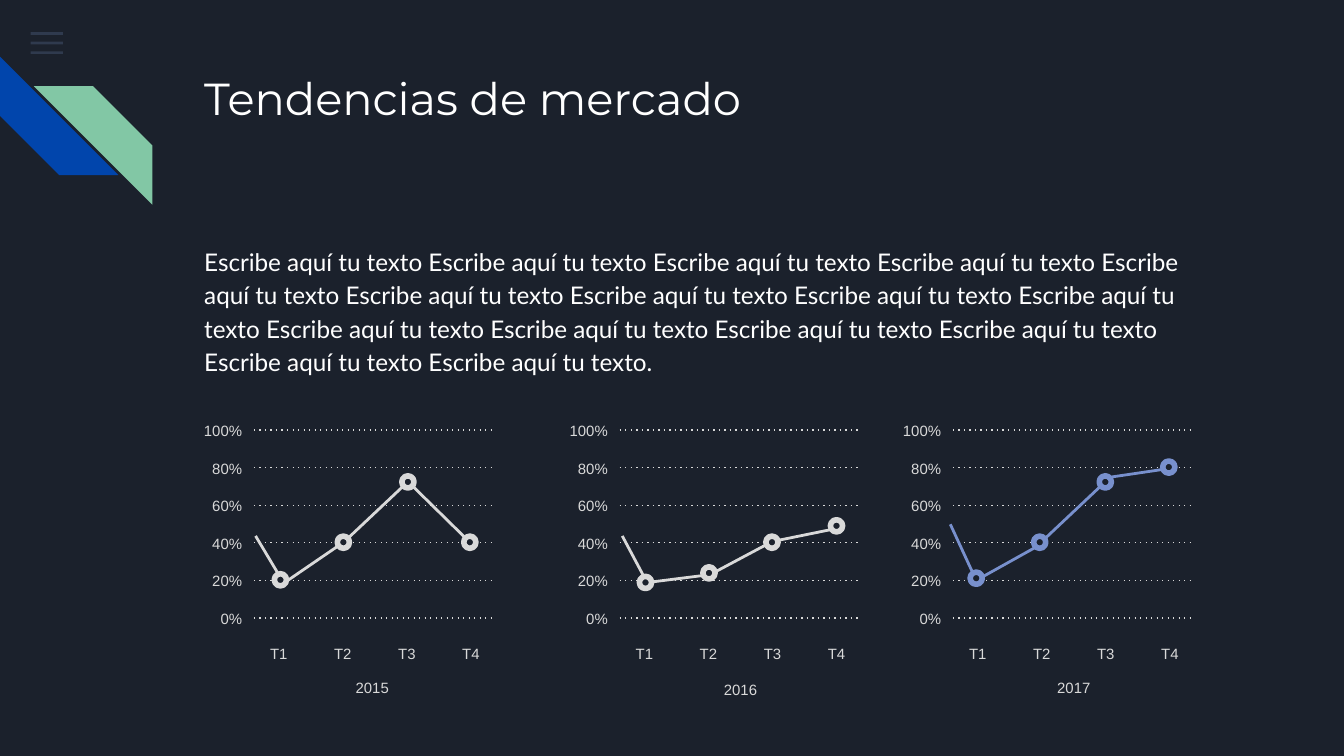
from dataclasses import dataclass

from lxml import etree
from pptx import Presentation
from pptx import util as u
from pptx.dml.color import RGBColor
from pptx.enum import shapes, text
from pptx.oxml.ns import qn

NAVY = RGBColor(0x1B, 0x21, 0x2C)
WHITE = RGBColor(0xFF, 0xFF, 0xFF)
GREY = RGBColor(0xD9, 0xD9, 0xD9)
PERIWINKLE = RGBColor(0x78, 0x90, 0xCD)
BLUE = RGBColor(0x01, 0x45, 0xAC)
GREEN = RGBColor(0x82, 0xC7, 0xA5)
SLATE = RGBColor(0x55, 0x68, 0x8B)

# Chart geometry, in cm
GRID_TOP, GRID_STEP, GRID_WIDTH = 8.13, 0.71, 4.57
LEVELS = ("100%", "80%", "60%", "40%", "20%", "0%")
QUARTERS = ("T1", "T2", "T3", "T4")
QUARTER_TOP, QUARTER_STEP, QUARTER_WIDTH = 11.93, 1.21, 0.94
LABEL_HEIGHT, MARKER = 0.53, 0.23


@dataclass
class TrendChart:
    """One year's trend; segments are (x1, y1, x2, y2), markers are centres."""
    year: str
    left: float
    label_width: float
    year_left: float
    year_top: float
    color: RGBColor
    segments: list[tuple[float, float, float, float]]
    markers: list[tuple[float, float]]


CHARTS = [
    TrendChart("2015", 4.8, 1.25, 6.12, 12.52, GREY,
               [(4.83, 10.13, 5.38, 11.05), (5.44, 10.97, 6.58, 10.19),
                (6.4, 10.34, 7.8, 9.02), (7.8, 9.19, 8.97, 10.34)],
               [(5.3, 10.96), (6.49, 10.25), (7.71, 9.11), (8.88, 10.25)]),
    TrendChart("2016", 11.71, 1.35, 13.08, 12.57, GREY,
               [(11.76, 10.13, 12.17, 10.9), (12.32, 11, 13.51, 10.85),
                (13.31, 10.92, 14.68, 10.19), (14.48, 10.26, 15.95, 9.96)],
               [(12.2, 11.01), (13.4, 10.83), (14.59, 10.25), (15.81, 9.94)]),
    TrendChart("2017", 18.01, 1.25, 19.38, 12.52, PERIWINKLE,
               [(17.96, 9.91, 18.44, 10.95), (18.36, 11.02, 19.58, 10.34),
                (19.74, 10.19, 20.98, 9.02), (20.98, 9.02, 22.2, 8.84)],
               [(18.45, 10.93), (19.65, 10.25), (20.89, 9.11), (22.09, 8.83)]),
]


def place(sp, left: float, top: float, width: float, height: float) -> None:
    sp.left, sp.top, sp.width, sp.height = map(u.Cm, (left, top, width, height))


def write(sp, content: str, *, size: float, font: str = "Arial",
          color: RGBColor = GREY, align=text.PP_ALIGN.LEFT,
          spacing: float = 1.0, after: float = 0) -> None:
    tf = sp.text_frame
    tf.word_wrap = True
    tf.auto_size = text.MSO_AUTO_SIZE.NONE
    tf.vertical_anchor = text.MSO_ANCHOR.TOP
    tf.margin_left = tf.margin_right = u.Cm(0.25)
    tf.margin_top = tf.margin_bottom = u.Cm(0.25)
    p = tf.paragraphs[0]
    p.alignment, p.line_spacing = align, spacing
    p.space_before, p.space_after = u.Pt(0), u.Pt(after)
    r = p.add_run()
    r.text = content
    r.font.size, r.font.name = u.Pt(size), font
    r.font.color.rgb = color


def add_label(parent, content: str, left: float, top: float, width: float,
              height: float = LABEL_HEIGHT, **fmt) -> None:
    sp = parent.add_textbox(*map(u.Cm, (left, top, width, height)))
    write(sp, content, size=8, **fmt)


def add_shape(parent, kind, left: float, top: float, width: float,
              height: float, fill: RGBColor):
    sp = parent.add_shape(kind, *map(u.Cm, (left, top, width, height)))
    sp.shadow.inherit = False
    sp.fill.solid()
    sp.fill.fore_color.rgb = fill
    sp.line.fill.background()
    return sp


def add_line(parent, x1: float, y1: float, x2: float, y2: float,
             color: RGBColor, width: float, dotted: bool = False) -> None:
    c = parent.add_connector(shapes.MSO_CONNECTOR.STRAIGHT,
                             *map(u.Cm, (x1, y1, x2, y2)))
    c.line.color.rgb = color
    c.line.width = u.Pt(width)
    sp_pr = c._element.spPr
    if dotted:
        c.line.dash_style = 3  # replaced below by the wider-spaced preset
        sp_pr.find(".//" + qn("a:prstDash")).set("val", "dot")
    etree.SubElement(sp_pr, qn("a:effectLst"))


def draw_chart(parent, chart: TrendChart) -> None:
    # Gridlines with their percentages
    for i, level in enumerate(LEVELS):
        y = GRID_TOP + i * GRID_STEP
        add_line(parent, chart.left, y, chart.left + GRID_WIDTH, y,
                 GREY, 0.75, dotted=True)
        add_label(parent, level, chart.left + 0.03 - chart.label_width,
                  y - 0.41, chart.label_width, align=text.PP_ALIGN.RIGHT)
    # Quarters and year
    for i, quarter in enumerate(QUARTERS):
        add_label(parent, quarter, chart.left + i * QUARTER_STEP, QUARTER_TOP,
                  QUARTER_WIDTH, align=text.PP_ALIGN.CENTER)
    add_label(parent, chart.year, chart.year_left, chart.year_top, 1.83, 0.89,
              align=text.PP_ALIGN.CENTER, spacing=1.15, after=16)
    # Trend line and ring markers
    for segment in chart.segments:
        add_line(parent, *segment, chart.color, 1.5)
    for x, y in chart.markers:
        ring = add_shape(parent, shapes.MSO_SHAPE.OVAL, x - MARKER / 2,
                         y - MARKER / 2, MARKER, MARKER, NAVY)
        ring.line.color.rgb = chart.color
        ring.line.width = u.Pt(3)


def draw_decoration(parent) -> None:
    # Translucent menu bars
    for i in range(3):
        bar = add_shape(parent, shapes.MSO_SHAPE.RECTANGLE,
                        0.58, 0.61 + i * 0.18, 0.61, 0.05, SLATE)
        clr = bar._element.spPr.find(".//" + qn("a:srgbClr"))
        etree.SubElement(clr, qn("a:alpha"), val="36000")
    # Diagonal stripes
    stripe = shapes.MSO_SHAPE.DIAGONAL_STRIPE
    blue = add_shape(parent, stripe, 0, 1.07, 2.24, 2.24, BLUE)
    blue.rotation = 270
    green = add_shape(parent, stripe, 0.64, 1.63, 2.24, 2.24, GREEN)
    green._element.spPr.find(qn("a:xfrm")).set("flipH", "1")


def main() -> None:
    prs = Presentation()
    prs.slide_width, prs.slide_height = u.Cm(25.4), u.Cm(14.29)
    s = prs.slides.add_slide(prs.slide_layouts[1])
    s.background.fill.solid()
    s.background.fill.fore_color.rgb = NAVY
    draw_decoration(s.shapes)

    # Title and body
    title, body = s.shapes.title, s.placeholders[1]
    place(title, 3.61, 1.09, 19.56, 2.54)
    write(title, "Tendencias de mercado", size=24, font="Montserrat",
          color=WHITE)
    place(body, 3.61, 4.34, 19.56, 3.07)
    p_pr = body.text_frame.paragraphs[0]._p.get_or_add_pPr()
    p_pr.set("marL", "0")
    p_pr.set("indent", "0")
    etree.SubElement(p_pr, qn("a:buNone"))
    write(body, " ".join(["Escribe aquí tu texto"] * 15) + ".", size=13,
          font="Lato", color=WHITE, spacing=1.15, after=16)

    # Yearly trends
    for chart in CHARTS:
        draw_chart(s.shapes.add_group_shape().shapes, chart)
    prs.save("out.pptx")


if __name__ == "__main__":
    main()
